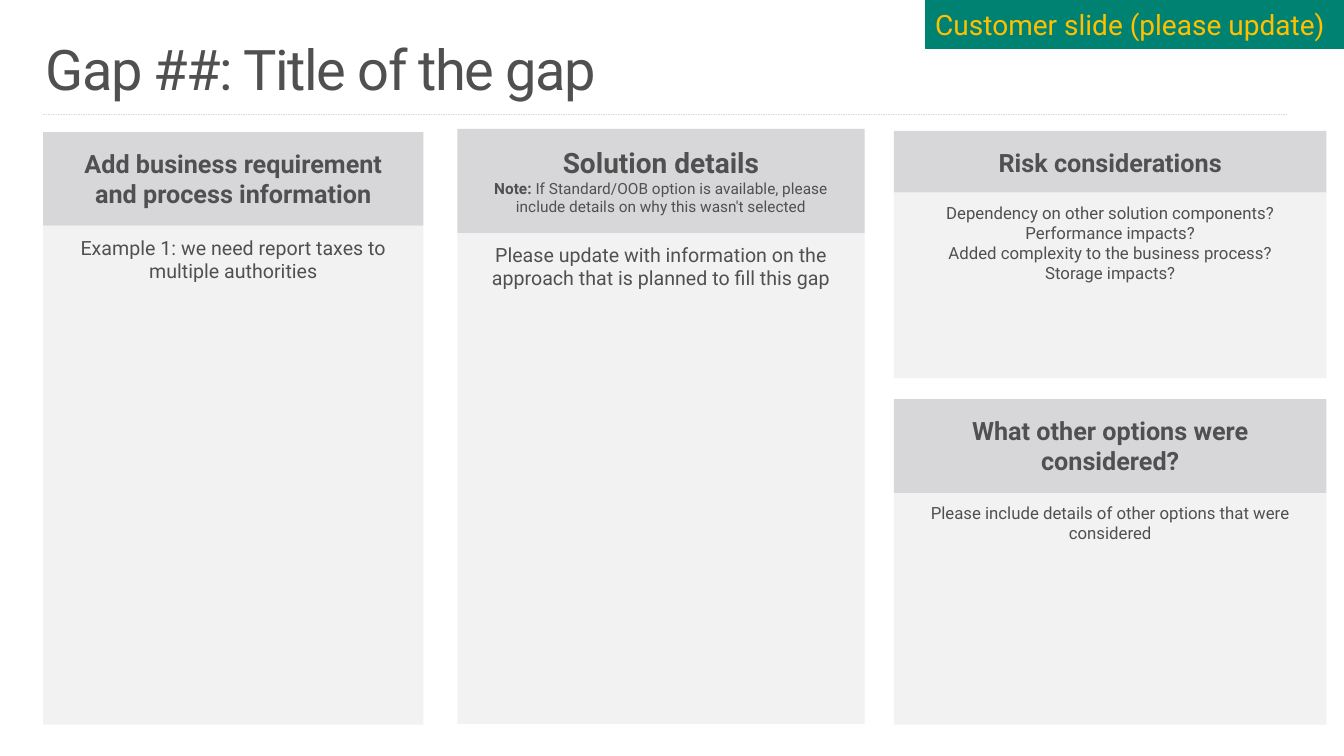
"""Build a gap analysis slide with four headed panels."""
from dataclasses import dataclass

from lxml import etree
from pptx import Presentation
from pptx import util as u
from pptx.dml.color import RGBColor
from pptx.enum import dml, shapes, text
from pptx.oxml import ns

INK = RGBColor(0x50, 0x50, 0x50)
HEAD = RGBColor(0xD7, 0xD7, 0xDA)
BODY = RGBColor(0xF2, 0xF2, 0xF2)
RULE = RGBColor(0xD9, 0xD9, 0xD9)
TEAL = RGBColor(0x00, 0x82, 0x72)
GOLD = RGBColor(0xFF, 0xC0, 0x00)

SIDES = ("left", "top", "right", "bottom")
HEAD_PAD = (0.51, 0.41, 0.51, 0.41)
BODY_PAD = (0.25, 0.25, 0.25, 0.13)
TITLE_PAD = (0.41, 0.25, 0.41, 0.25)
TAG_PAD = (0.25, 0.13, 0.25, 0.13)
MID = text.PP_ALIGN.CENTER
LEFT = text.PP_ALIGN.LEFT


@dataclass
class Run:
    words: str
    size: float
    bold: bool = False
    ink: RGBColor = INK


@dataclass
class Panel:
    left: float
    top: float
    width: float
    split: float
    base: float
    head: list[list[Run]]
    body: list[list[Run]]


PANELS = [
    Panel(1.09, 3.33, 9.58, 5.69, 18.26,
          [[Run("Add business requirement and process information", 18, True)]],
          [[Run("Example 1: we need report taxes to multiple authorities", 14)]]),
    Panel(22.53, 3.3, 10.9, 4.85, 9.53,
          [[Run("Risk considerations", 18, True)]],
          [[Run(words, 12)] for words in (
              "Dependency on other solution components?",
              "Performance impacts?",
              "Added complexity to the business process?",
              "Storage impacts?")]),
    Panel(11.53, 3.25, 10.26, 5.87, 18.25,
          [[Run("Solution details", 20, True)],
           [Run("Note: ", 11, True),
            Run("If Standard/OOB option is available, please include details "
                "on why this wasn't selected", 11)]],
          [[Run("Please update with information on the approach that is "
                "planned to fill this gap", 14)]]),
    Panel(22.53, 10.06, 10.9, 12.42, 18.26,
          [[Run("What other options were considered?", 18, True)]],
          [[Run("Please include details of other options that were considered", 12)]]),
]


def write(shape, paras: list[list[Run]], pad: tuple, align=MID,
          anchor=text.MSO_ANCHOR.TOP) -> None:
    """Fill a shape with styled paragraphs."""
    frame = shape.text_frame
    frame.word_wrap = True
    frame.vertical_anchor = anchor
    for side, gap in zip(SIDES, pad):
        setattr(frame, f"margin_{side}", u.Cm(gap))
    for i, runs in enumerate(paras):
        para = frame.add_paragraph() if i else frame.paragraphs[0]
        para.alignment = align
        for item in runs:
            run = para.add_run()
            run.text = item.words
            run.font.color.rgb = item.ink
            look = {"name": "Roboto", "size": u.Pt(item.size), "bold": item.bold}
            for key, value in look.items():
                setattr(run.font, key, value)


def add_box(slide, left: float, top: float, width: float, height: float,
            fill: RGBColor):
    """Add a plain filled rectangle."""
    box = slide.shapes.add_shape(shapes.MSO_SHAPE.RECTANGLE, u.Cm(left), u.Cm(top),
                                 u.Cm(width), u.Cm(height))
    box.shadow.inherit = False
    box.fill.solid()
    box.fill.fore_color.rgb = fill
    box.line.fill.background()
    return box


def add_panel(slide, panel: Panel) -> None:
    """Add a body block and the heading above it."""
    parts = ((panel.split, panel.base, BODY, panel.body, BODY_PAD),
             (panel.top, panel.split, HEAD, panel.head, HEAD_PAD))
    for top, base, fill, paras, pad in parts:
        box = add_box(slide, panel.left, top, panel.width, base - top, fill)
        write(box, paras, pad)


def add_title(slide) -> None:
    """Add the title and the dashed rule under it."""
    title = slide.shapes.add_textbox(u.Cm(0.74), u.Cm(0.81), u.Cm(32.39), u.Cm(2.44))
    write(title, [[Run("Gap ##: Title of the gap", 40)]], TITLE_PAD, LEFT)
    para = title.text_frame.paragraphs[0]
    para.line_spacing = 0.9
    para.runs[0].font._element.set("spc", "-100")
    rule = slide.shapes.add_connector(shapes.MSO_CONNECTOR.STRAIGHT, u.Cm(1.09),
                                      u.Cm(2.87), u.Cm(32.41), u.Cm(2.87))
    rule.line.color.rgb = RULE
    look = {"width": u.Pt(0.25), "dash_style": dml.MSO_LINE.DASH}
    for key, value in look.items():
        setattr(rule.line, key, value)
    etree.SubElement(rule._element.spPr, ns.qn("a:effectLst"))


def add_tag(slide) -> None:
    """Add the corner tag."""
    tag = add_box(slide, 23.32, 0, 10.55, 1.22, TEAL)
    tag.line.color.rgb = TEAL
    tag.line.width = u.Pt(0.25)
    write(tag, [[Run("Customer slide (please update)", 20, ink=GOLD)]], TAG_PAD,
          LEFT, text.MSO_ANCHOR.MIDDLE)


def main() -> None:
    """Build and save the slide."""
    deck = Presentation()
    deck.slide_width, deck.slide_height = u.Cm(33.87), u.Cm(19.05)
    slide = deck.slides.add_slide(deck.slide_layouts[6])
    add_title(slide)
    add_tag(slide)
    for panel in PANELS:
        add_panel(slide, panel)
    deck.save("out.pptx")


if __name__ == "__main__":
    main()
